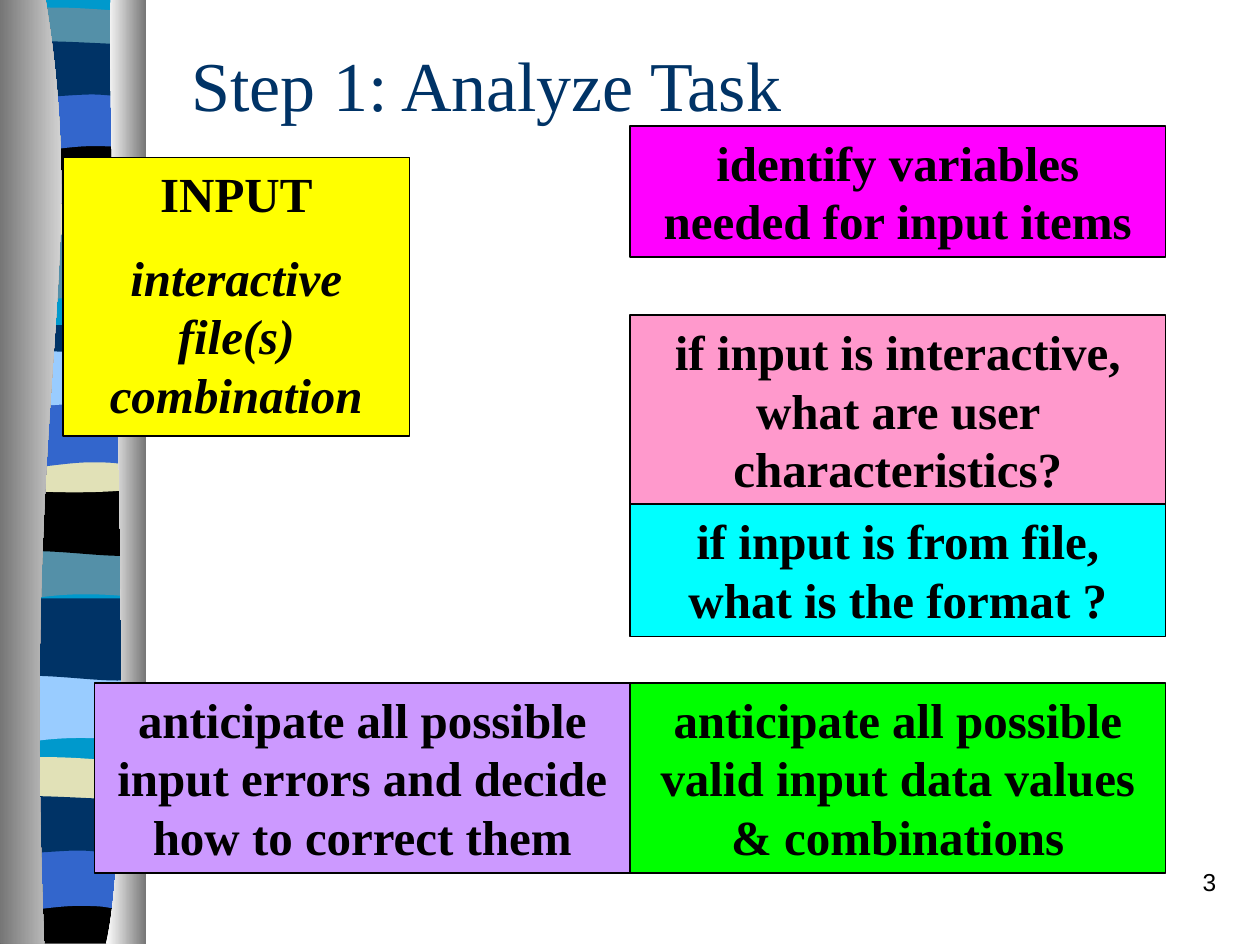
from lxml import etree
from pptx import Presentation
from pptx.dml.color import RGBColor
from pptx.enum.shapes import MSO_SHAPE as Shape
from pptx.enum.text import MSO_ANCHOR as Anchor, MSO_AUTO_SIZE as Fit, PP_ALIGN as Align
from pptx.oxml.ns import qn
from pptx.util import Inches, Pt

COLORS = {
    "sky": "0099CC", "teal": "5490A8", "cream": "E1E1B7", "black": "000000",
    "blue": "3366CC", "navy": "003366", "pale": "99CCFF", "white": "FFFFFF",
    "gray": "767676", "yellow": "FFFF00", "magenta": "FF00FF",
    "violet": "CC99FF", "green": "00FF00", "pink": "FF99CC", "cyan": "00FFFF",
}
SERIF = "Times New Roman"
WIDE = 1.08  # width of a band

# Parts of band edges, as offsets from the left corner:
# one point is a line, three are a Bezier curve.
TOPS = {
    "flat": [[(WIDE, 0)]],
    "cap": [[(0.07, -0.05), (0.23, -0.04), (0.41, -0.04)],
            [(0.59, -0.04), (0.94, -0.01), (WIDE, 0)]],
    "sag": [[(0.66, 0.05), (0.85, 0), (WIDE, 0)]],
    "swell": [[(0.15, -0.05), (0.74, 0), (0.92, 0)],
              [(1.1, 0), (1.05, 0), (WIDE, 0)]],
}
ENDS = {
    "flat": [[(0, 0)]],
    "wave": [[(0.33, -0.08), (0.18, 0.08), (0, 0)]],
    "slip": [[(0.9, 0.07), (0.33, -0.06), (0, 0)]],
    "bulge": [[(0.9, 0.05), (0.18, 0.05), (0, 0)]],
    "arch": [[(0.91, -0.06), (0.84, -0.06), (0.66, -0.06)],
             [(0.48, -0.06), (0.16, 0), (0, 0)]],
    "dip": [[(1.01, 0.05), (0.85, 0), (0.67, 0)],
            [(0.49, 0), (0.11, 0.05), (0, 0)]],
}
# colour, left, top, bottom, top edge, bottom edge; back to front
BANDS = [
    ("sky", 0.06, -0.01, 7.47, "flat", "flat"),
    ("teal", 0.05, 1.85, 2.38, "flat", "wave"),
    ("cream", 0.05, 1.33, 1.87, "flat", "slip"),
    ("teal", 0.05, 0.1, 0.38, "cap", "bulge"),
    ("black", 0.05, 1.08, 1.42, "sag", "bulge"),
    ("blue", 0.06, 0.7, 1.22, "flat", "arch"),
    ("navy", 0.06, 0.35, 0.75, "swell", "dip"),
    ("teal", 0, 4.21, 4.74, "flat", "wave"),
    ("black", 0.05, 3.87, 4.39, "flat", "slip"),
    ("navy", 0.05, 2.62, 2.91, "cap", "bulge"),
    ("cream", 0.05, 3.49, 3.87, "sag", "bulge"),
    ("blue", 0.05, 3.2, 3.73, "flat", "arch"),
    ("pale", 0.05, 2.81, 3.2, "swell", "dip"),
    ("pale", -0.04, 5.34, 5.88, "flat", "wave"),
    ("navy", 0.02, 4.75, 5.38, "flat", "slip"),
    ("cream", 0, 6.05, 6.35, "cap", "bulge"),
    ("black", 0, 7.12, 7.49, "sag", "flat"),
    ("blue", -0.05, 6.73, 7.25, "flat", "arch"),
    ("navy", -0.05, 6.34, 6.75, "swell", "dip"),
]
BOXES = [
    ("yellow", 0.5, 1.25, 2.75, 2.21, ["INPUT", "interactive\nfile(s)\ncombination"]),
    ("magenta", 5, 1, 4.25, 1.04, ["identify variables needed for input items"]),
    ("violet", 0.75, 5.42, 4.25, 1.51,
     ["anticipate all possible input errors and decide how to correct them"]),
    ("green", 5, 5.42, 4.25, 1.51,
     ["anticipate all possible valid input data values & combinations"]),
    ("pink", 5, 2.5, 4.25, 1.51,
     ["if input is interactive, what are user characteristics?"]),
    ("cyan", 5, 4, 4.25, 1.05, ["if input is from file, what is the format ?"]),
]


def rgb(name):
    return RGBColor.from_string(COLORS[name])


def add_form(slide, start, parts):
    """Closed outline of lines and Bezier curves, without a border."""
    pen = slide.shapes.build_freeform(*map(Inches, start))
    pen.add_line_segments([tuple(map(Inches, spot)) for part in parts for spot in part])
    form = pen.convert_to_shape()
    lines = iter(list(form.element.iter(qn("a:lnTo"))))
    for part in parts:
        group = [next(lines) for _ in part]
        if len(group) == 3:
            bend = etree.Element(qn("a:cubicBezTo"))
            group[0].addprevious(bend)
            for line in group:
                bend.append(line[0])
                line.getparent().remove(line)
    form.shadow.inherit = False
    form.line.fill.background()
    return form


def add_band(slide, color, left, top, end, over, under):
    def shift(edge, y):
        return [[(left + dx, y + dy) for dx, dy in part] for part in edge]

    parts = shift(TOPS[over], top) + [[(left + WIDE, end)]] + shift(ENDS[under], end)
    form = add_form(slide, (left, top), parts)
    form.fill.solid()
    form.fill.fore_color.rgb = rgb(color)


def add_drape(slide, start, bend, side, first, last):
    """Panel between a curve and a straight side, shaded left to right."""
    parts = [bend, [(side, 7.49)], [(side, -0.01)]]
    fill = add_form(slide, start, parts).fill
    fill.gradient()
    fill.gradient_angle = 0
    for stop, place, color in zip(fill.gradient_stops, (0, 1), (first, last)):
        stop.position = place
        stop.color.rgb = rgb(color)


def style(para, size, font, color, bold=False, italic=False):
    for run in para.runs:
        run.font.size, run.font.name = Pt(size), font
        run.font.color.rgb = rgb(color)
        run.font.bold, run.font.italic = bold, italic


def add_text(slide, text, place, size, font, color, align, anchor):
    frame = slide.shapes.add_textbox(*map(Inches, place)).text_frame
    frame.word_wrap = True
    frame.vertical_anchor = anchor
    frame.text = text
    frame.paragraphs[0].alignment = align
    style(frame.paragraphs[0], size, font, color)


def add_box(slide, color, left, top, width, height, lines):
    box = slide.shapes.add_shape(Shape.RECTANGLE, *map(Inches, (left, top, width, height)))
    box.shadow.inherit = False
    box.fill.solid()
    box.fill.fore_color.rgb = rgb(color)
    box.line.color.rgb = rgb("black")
    box.line.width = Pt(0.75)
    frame = box.text_frame
    frame.word_wrap = True
    frame.auto_size = Fit.SHAPE_TO_FIT_TEXT
    frame.vertical_anchor = Anchor.TOP
    for i, line in enumerate(lines):
        para = frame.add_paragraph() if i else frame.paragraphs[0]
        para.text = line
        para.alignment = Align.CENTER
        para.space_before = Pt(14)
        style(para, 28, SERIF, "black", bold=True, italic=i > 0)


def main():
    deck = Presentation()
    deck.slide_width, deck.slide_height = Inches(10), Inches(7.5)
    slide = deck.slides.add_slide(deck.slide_layouts[6])
    for band in BANDS:
        add_band(slide, *band)
    add_drape(slide, (0.36, -0.01), [(0.72, 2.16), (0.17, 2.96), (0.35, 7.49)],
              0, "gray", "white")
    add_drape(slide, (0.88, -0.01), [(0.84, 1.25), (1.11, 6.46), (0.84, 7.49)],
              1.16, "white", "gray")
    add_text(slide, "3", (7.67, 6.83, 2.08, 0.5), 14, "Arial", "black",
             Align.RIGHT, Anchor.TOP)
    add_text(slide, "Step 1: Analyze Task", (1.42, 0.33, 5.58, 0.67), 40, SERIF,
             "navy", Align.LEFT, Anchor.MIDDLE)
    for box in BOXES:
        add_box(slide, *box)
    deck.save("out.pptx")


if __name__ == "__main__":
    main()
